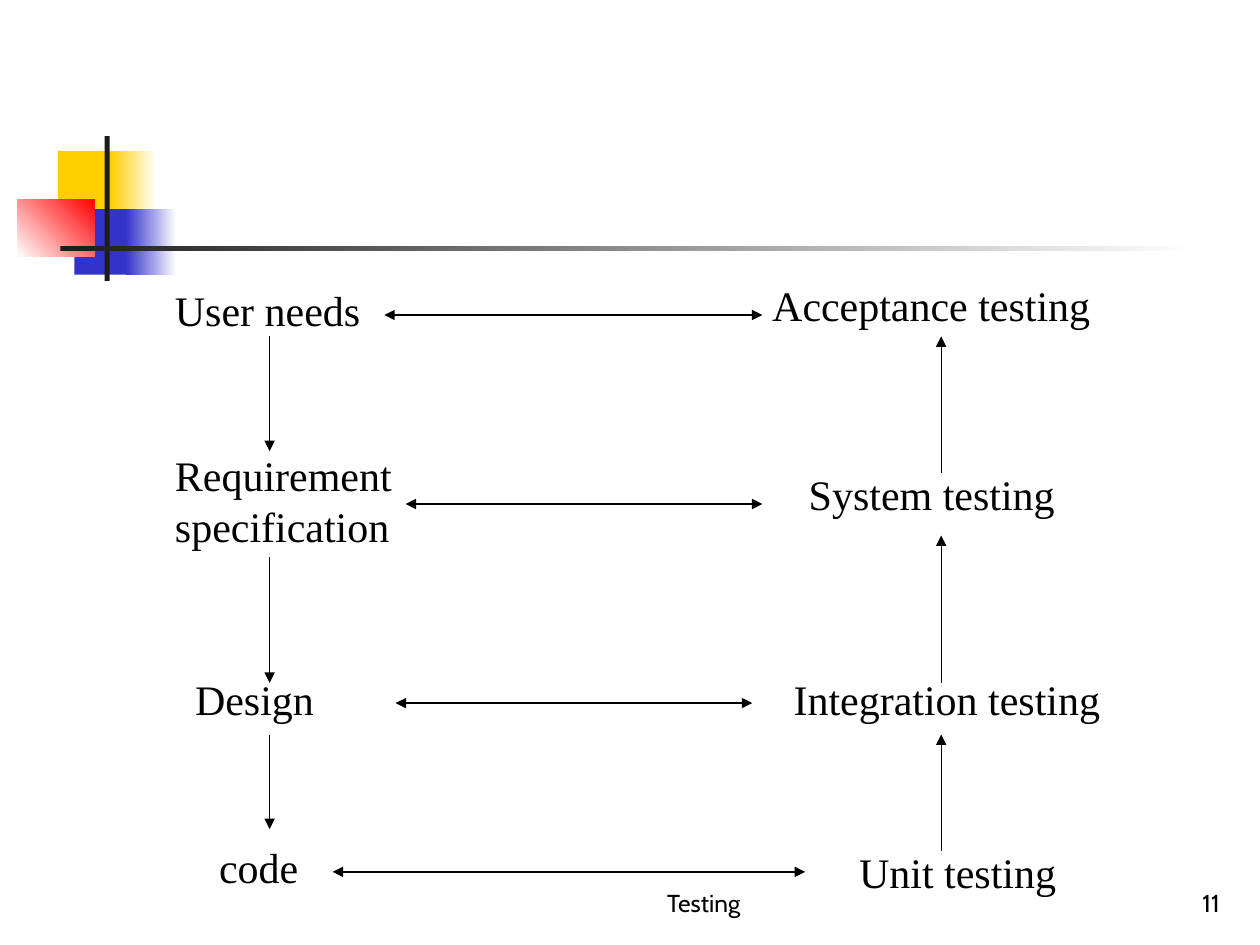
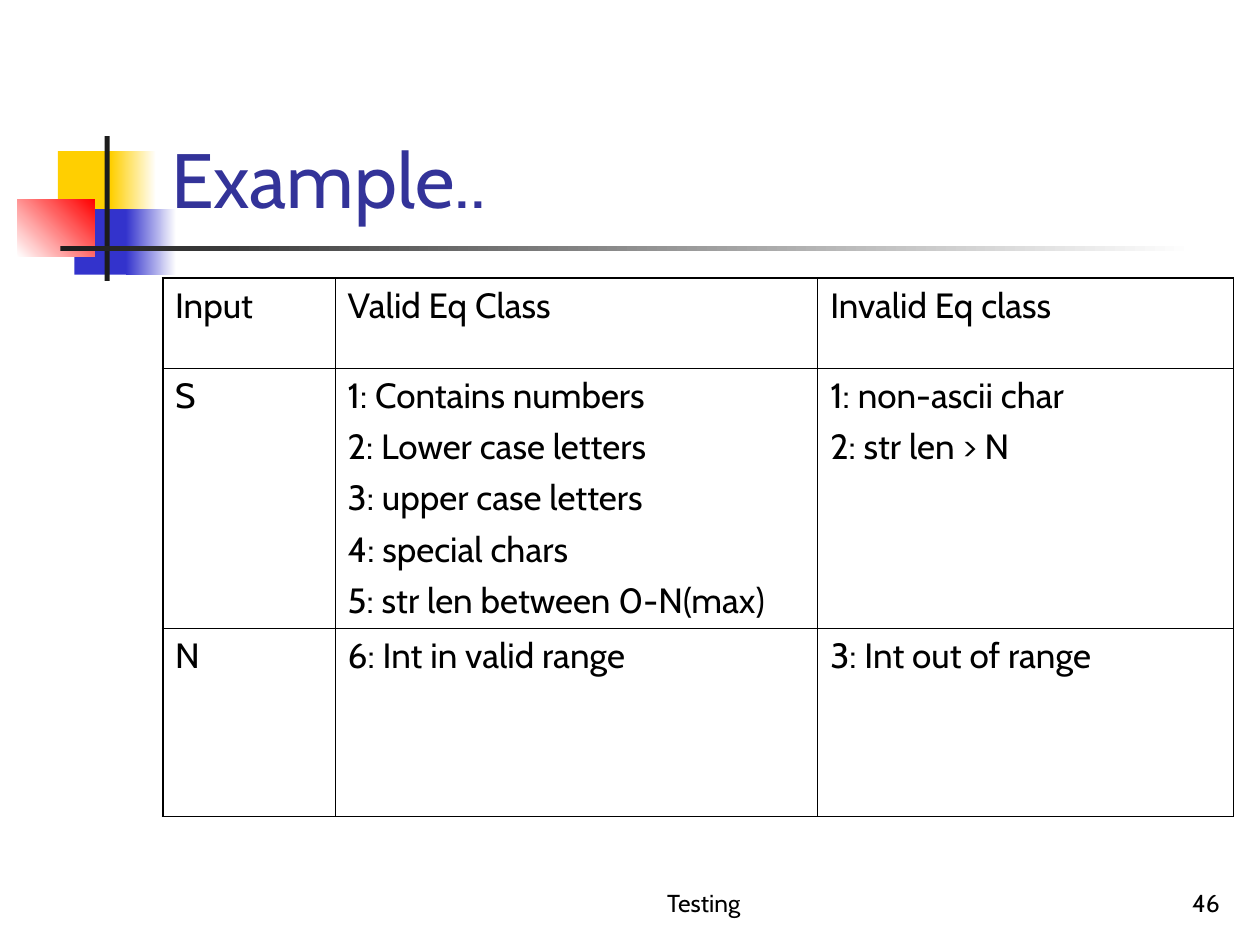
from lxml import etree
from pptx import Presentation
from pptx.dml.color import RGBColor
from pptx.enum.shapes import MSO_CONNECTOR, MSO_SHAPE
from pptx.enum.text import MSO_ANCHOR, MSO_AUTO_SIZE, PP_ALIGN
from pptx.oxml.ns import qn
from pptx.util import Inches, Pt

BLACK, WHITE, INK = "000000", "FFFFFF", "1C1C1C"
YELLOW, BLUE, RED, TITLE_BLUE = "FFCF01", "3333CC", "FF0000", "333399"
SANS, SERIF = "Cabin", "Times New Roman"

# Emblem and rule: offsets from the emblem's corner, colours, gradient angle
EMBLEM_PARTS = [
    ((0.32, 0.12, 0.48, 0.52), [YELLOW], 0),
    ((0.74, 0.12, 0.36, 0.52), [YELLOW, WHITE], 0),
    ((0.45, 0.58, 0.46, 0.52), [BLUE], 0),
    ((0.86, 0.58, 0.40, 0.52), [BLUE, WHITE], 0),
    ((0.00, 0.50, 0.61, 0.46), [WHITE, RED], 45),
    ((0.69, 0.00, 0.04, 1.15), [INK], 0),
    ((0.34, 0.87, 9.00, 0.04), [INK, WHITE], 0),
]

# V model: label with its box, relative to the diagram's corner
PHASES = [
    (["User needs"], (0, 0.04, 1.67, 0.5)),
    (["Requirement", "specification"], (0, 1.35, 1.92, 0.9)),
    (["Design"], (0.16, 3.13, 1.14, 0.5)),
    (["code"], (0.35, 4.46, 0.83, 0.5)),
    (["Acceptance testing"], (4.74, 0, 2.72, 0.5)),
    (["System testing"], (5.03, 1.5, 2.15, 0.5)),
    (["Integration testing"], (4.91, 3.13, 2.63, 0.5)),
    (["Unit testing"], (5.43, 4.5, 1.76, 0.5)),
]
# Two-way links (y, left, right); one-way steps (start y, end y)
LINKS = [(0.33, 1.76, 4.76), (1.83, 1.93, 4.76), (3.41, 1.85, 4.68), (4.75, 1.35, 5.1)]
DOWN_X, DOWN_STEPS = 0.85, [(0.5, 1.41), (2.25, 3.25), (3.66, 4.41)]
UP_X, UP_STEPS = 6.18, [(4.58, 3.66), (3.25, 2.08), (1.58, 0.5)]

# Equivalence classes: one list of lines per cell
CLASS_COLUMNS = [1.37, 3.83, 3.3]
CLASS_ROWS = [
    (0.71, [["Input"], ["Valid Eq Class"], ["Invalid Eq class"]]),
    (2.04, [["S"],
            ["1: Contains numbers", "2: Lower case letters", "3: upper case letters",
             "4: special chars", "5: str len between 0-N(max)"],
            ["1: non-ascii char", "2: str len > N"]]),
    (1.49, [["N"], ["6: Int in valid range"], ["3: Int out of range"]]),
]


def color(hex_string):
    return RGBColor.from_string(hex_string)


def inches(*lengths):
    return [Inches(length) for length in lengths]


def write(frame, lines, size, font, ink=BLACK, align=PP_ALIGN.LEFT, before=0):
    for i, line in enumerate(lines):
        paragraph = frame.paragraphs[0] if i == 0 else frame.add_paragraph()
        paragraph.alignment = align
        paragraph.space_before = Pt(before)
        run = paragraph.add_run()
        run.text = line
        run.font.size = Pt(size)
        run.font.name = font
        run.font.color.rgb = color(ink)


def add_label(slide, box, lines, size, font, ink=BLACK, align=PP_ALIGN.LEFT,
              anchor=MSO_ANCHOR.BOTTOM, right_inset=0.1):
    frame = slide.shapes.add_textbox(*inches(*box)).text_frame
    frame.word_wrap = True
    frame.auto_size = MSO_AUTO_SIZE.NONE
    frame.margin_right = Inches(right_inset)
    frame.vertical_anchor = anchor
    write(frame, lines, size, font, ink, align)


def add_emblem(slide, left, top):
    for (dx, dy, width, height), colors, angle in EMBLEM_PARTS:
        part = slide.shapes.add_shape(
            MSO_SHAPE.RECTANGLE, *inches(left + dx, top + dy, width, height))
        part.shadow.inherit = False
        part.line.fill.background()
        if len(colors) == 1:
            part.fill.solid()
            part.fill.fore_color.rgb = color(colors[0])
        else:
            part.fill.gradient()
            part.fill.gradient_angle = angle
            for stop, stop_color in zip(part.fill.gradient_stops, colors):
                stop.color.rgb = color(stop_color)


def add_footer(slide, number, top=6.83, height=0.5):
    add_label(slide, (4, top, 3.17, height), ["Testing"], 14, SANS, align=PP_ALIGN.CENTER)
    add_label(slide, (7.7, top, 2.08, height), [number], 14, SANS, align=PP_ALIGN.RIGHT)


def add_base_slide(deck, number, title=None):
    slide = deck.slides.add_slide(deck.slide_layouts[6])
    add_emblem(slide, 0.14, 1.08)
    add_footer(slide, number)
    if title:
        add_label(slide, (1.26, 0.23, 8.52, 1.6), [title], 44, SANS, TITLE_BLUE)
    return slide


def add_arrow(slide, x1, y1, x2, y2, two_way=False):
    arrow = slide.shapes.add_connector(MSO_CONNECTOR.STRAIGHT, *inches(x1, y1, x2, y2))
    arrow.line.color.rgb = color(BLACK)
    arrow.line.width = Pt(0.75)
    line = arrow.line._get_or_add_ln()
    for end in ["headEnd", "tailEnd"] if two_way else ["tailEnd"]:
        etree.SubElement(line, qn(f"a:{end}"), type="triangle")
    etree.SubElement(arrow._element.spPr, qn("a:effectLst"))


def add_v_model(slide, left, top):
    # The boxes fit their text closely; no right inset keeps each line whole
    for lines, (dx, dy, width, height) in PHASES:
        add_label(slide, (left + dx, top + dy, width, height), lines, 24, SERIF,
                  anchor=MSO_ANCHOR.TOP, right_inset=0)
    for y, start, end in LINKS:
        add_arrow(slide, left + start, top + y, left + end, top + y, two_way=True)
    for x, steps in [(DOWN_X, DOWN_STEPS), (UP_X, UP_STEPS)]:
        for start, end in steps:
            add_arrow(slide, left + x, top + start, left + x, top + end)


def set_borders(cell, outer_sides):
    """Outer edges of the grid are heavier than the inner ones."""
    properties = cell._tc.get_or_add_tcPr()
    for side in "LRTB":
        width = Pt(1.25 if side in outer_sides else 0.45)
        border = etree.SubElement(properties, qn(f"a:ln{side}"), w=str(width))
        fill = etree.SubElement(border, qn("a:solidFill"))
        etree.SubElement(fill, qn("a:srgbClr"), val=BLACK)


def add_class_table(slide, left, top):
    heights = [height for height, _ in CLASS_ROWS]
    last_row, last_column = len(CLASS_ROWS) - 1, len(CLASS_COLUMNS) - 1
    table = slide.shapes.add_table(
        len(CLASS_ROWS), len(CLASS_COLUMNS),
        *inches(left, top, sum(CLASS_COLUMNS), sum(heights))).table
    table.first_row = table.horz_banding = False
    for column, width in zip(table.columns, CLASS_COLUMNS):
        column.width = Inches(width)
    for r, (height, cells) in enumerate(CLASS_ROWS):
        table.rows[r].height = Inches(height)
        for c, lines in enumerate(cells):
            cell = table.cell(r, c)
            edges = {"L": c == 0, "R": c == last_column, "T": r == 0, "B": r == last_row}
            set_borders(cell, [side for side, is_outer in edges.items() if is_outer])
            cell.fill.background()
            write(cell.text_frame, lines, 20, SANS, before=5)


def main():
    deck = Presentation()
    deck.slide_width, deck.slide_height = inches(10, 7.5)
    add_v_model(add_base_slide(deck, "11"), 1.29, 2.17)
    add_class_table(add_base_slide(deck, "46", "Example.."), 1.29, 2.21)
    deck.save("out.pptx")


if __name__ == "__main__":
    main()
